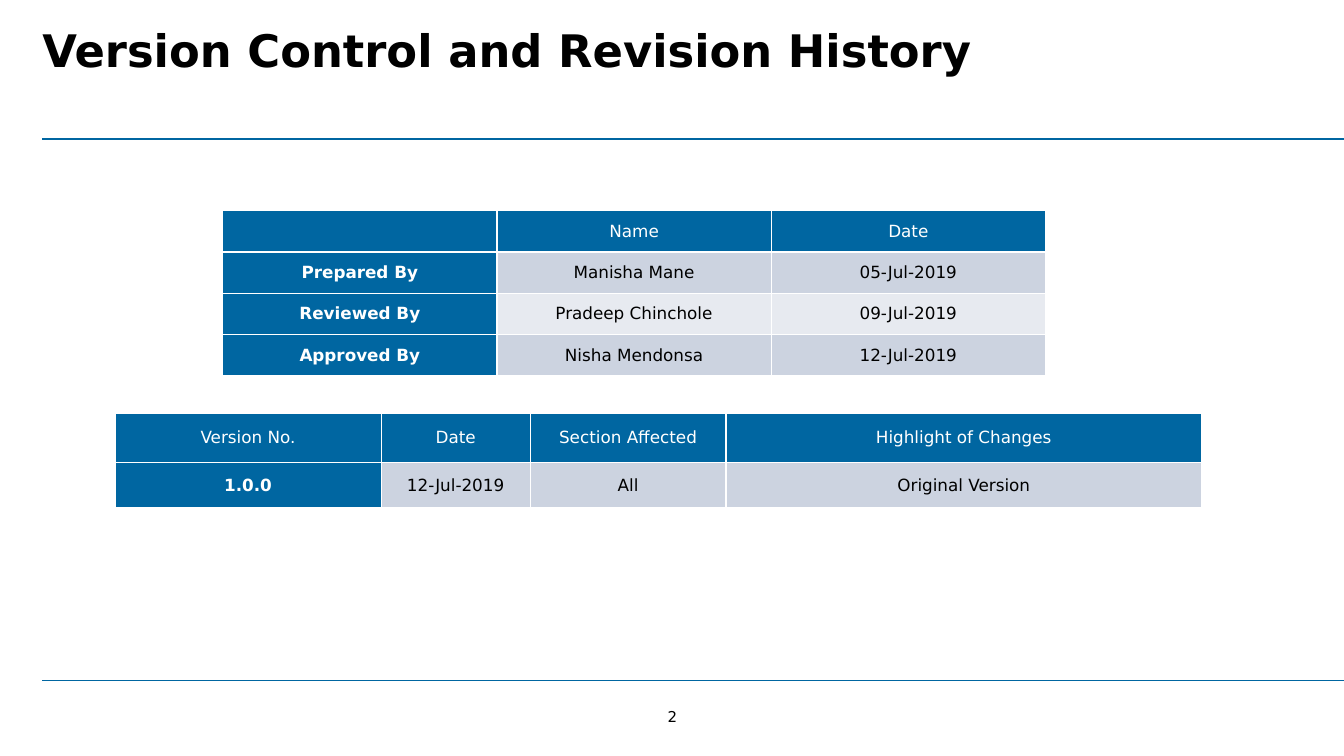
from pptx import Presentation
from pptx.dml.color import RGBColor as Color
from pptx.enum.shapes import MSO_CONNECTOR as Connector
from pptx.enum.text import MSO_ANCHOR as Anchor, MSO_AUTO_SIZE as AutoSize, PP_ALIGN as Align
from pptx.oxml.ns import qn
from pptx.util import Inches, Pt
from lxml.etree import SubElement

COLORS = {"blue": "0066A1", "black": "000000", "white": "FFFFFF",
          "dark_band": "CCD3E0", "light_band": "E7EAF0"}
FONT = "DejaVu Sans"


def color(name):
    return Color.from_string(COLORS[name])


def set_all(target, values):
    for name, value in values.items():
        setattr(target, name, value)


def write(para, text, size, ink, bold=False, align=Align.CENTER):
    para.alignment = align
    span = para.add_run()
    span.text = text
    set_all(span.font, {"name": FONT, "size": Pt(size), "bold": bold})
    span.font.color.rgb = color(ink)


def add_title(page, box, text):
    title = page.shapes.title
    set_all(title, dict(zip(("left", "top", "width", "height"), map(Inches, box))))
    frame = title.text_frame
    set_all(frame, {"margin_left": 0, "margin_right": 0, "margin_top": Inches(0.05),
                    "margin_bottom": Inches(0.05), "vertical_anchor": Anchor.TOP,
                    "word_wrap": True, "auto_size": AutoSize.NONE})
    write(frame.paragraphs[0], text, 32, "black", True, Align.LEFT)


def add_rule(page, left, top, right):
    rule = page.shapes.add_connector(Connector.STRAIGHT, *map(Inches, (left, top, right, top)))
    rule.line.color.rgb = color("blue")
    rule.line.width = Pt(1.25)
    SubElement(rule._element.spPr, qn("a:effectLst"))


def add_page_number(page, box, number):
    frame = page.shapes.add_textbox(*map(Inches, box)).text_frame
    set_all(frame, {"margin_left": 0, "margin_right": 0, "margin_top": 0, "margin_bottom": 0,
                    "vertical_anchor": Anchor.MIDDLE, "word_wrap": False})
    write(frame.paragraphs[0], number, 10.7, "black")


def add_borders(cell):
    properties = cell._tc.get_or_add_tcPr()
    for side in ("lnL", "lnR", "lnT", "lnB"):
        border = SubElement(properties, qn(f"a:{side}"), w=str(Pt(1)))
        fill = SubElement(border, qn("a:solidFill"))
        SubElement(fill, qn("a:srgbClr"), val=COLORS["white"])


def add_grid(page, left, top, widths, heights, rows):
    box = map(Inches, (left, top, sum(widths), sum(heights)))
    table = page.shapes.add_table(len(rows), len(widths), *box).table
    for column, width in zip(table.columns, widths):
        column.width = Inches(width)
    for row, height in zip(table.rows, heights):
        row.height = Inches(height)
    for r, texts in enumerate(rows):
        for c, text in enumerate(texts):
            cell = table.cell(r, c)
            heading = r == 0 or c == 0
            band = "dark_band" if r % 2 else "light_band"
            add_borders(cell)
            cell.fill.solid()
            cell.fill.fore_color.rgb = color("blue" if heading else band)
            cell.vertical_anchor = Anchor.MIDDLE
            if text:
                write(cell.text_frame.paragraphs[0], text, 12,
                      "white" if heading else "black", c == 0 and r > 0)


def build_history(deck):
    page = deck.slides.add_slide(deck.slide_layouts[5])
    add_title(page, (0.42, 0.18, 12.65, 1.05), "Version Control and Revision History")
    for top in (1.38, 6.75):
        add_rule(page, 0.42, top, 13.33)
    add_grid(page, 2.21, 2.09, [2.72] * 3, [0.41] * 4, [
        ("", "Name", "Date"),
        ("Prepared By", "Manisha Mane", "05-Jul-2019"),
        ("Reviewed By", "Pradeep Chinchole", "09-Jul-2019"),
        ("Approved By", "Nisha Mendonsa", "12-Jul-2019"),
    ])
    add_grid(page, 1.14, 4.1, [2.64, 1.48, 1.94, 4.72], [0.49, 0.45], [
        ("Version No.", "Date", "Section Affected", "Highlight of Changes"),
        ("1.0.0", "12-Jul-2019", "All", "Original Version"),
    ])
    add_page_number(page, (6.54, 7.02, 0.26, 0.18), "2")


deck = Presentation()
set_all(deck, {"slide_width": Inches(13.33), "slide_height": Inches(7.5)})
build_history(deck)
deck.save("out.pptx")
